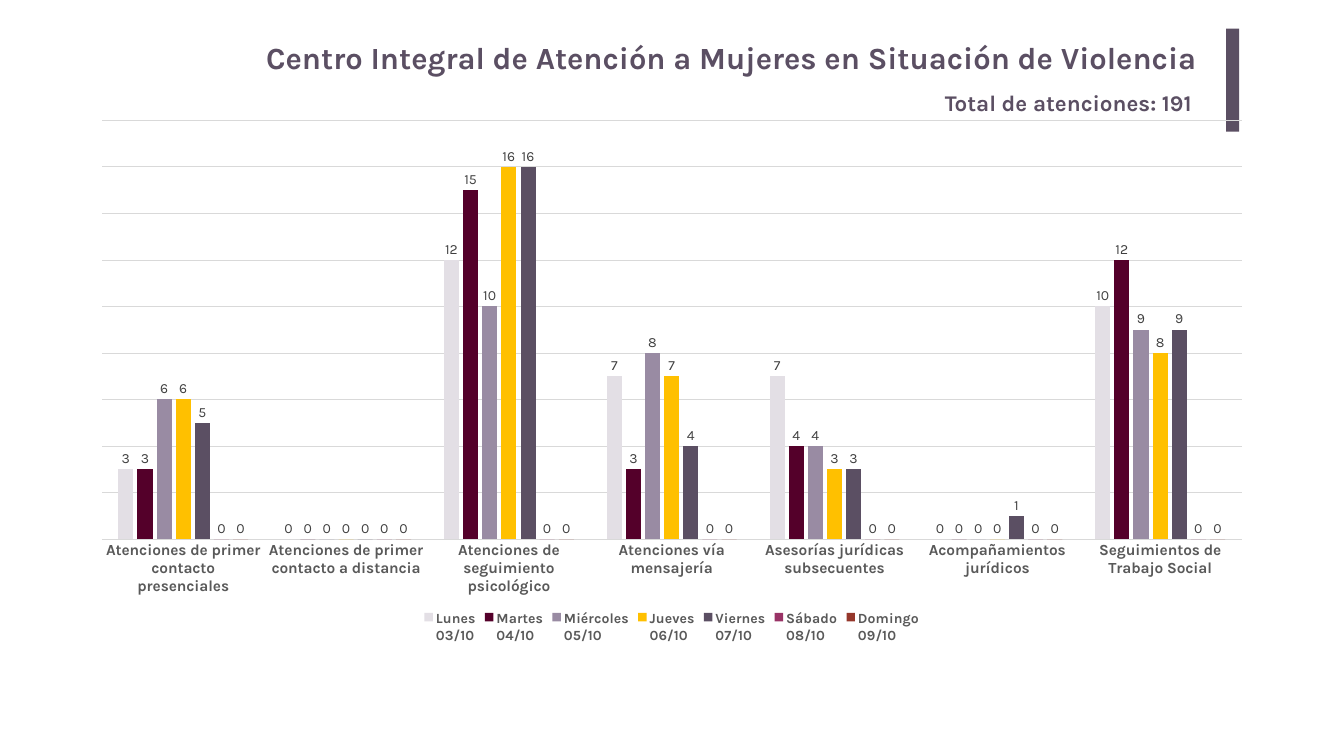
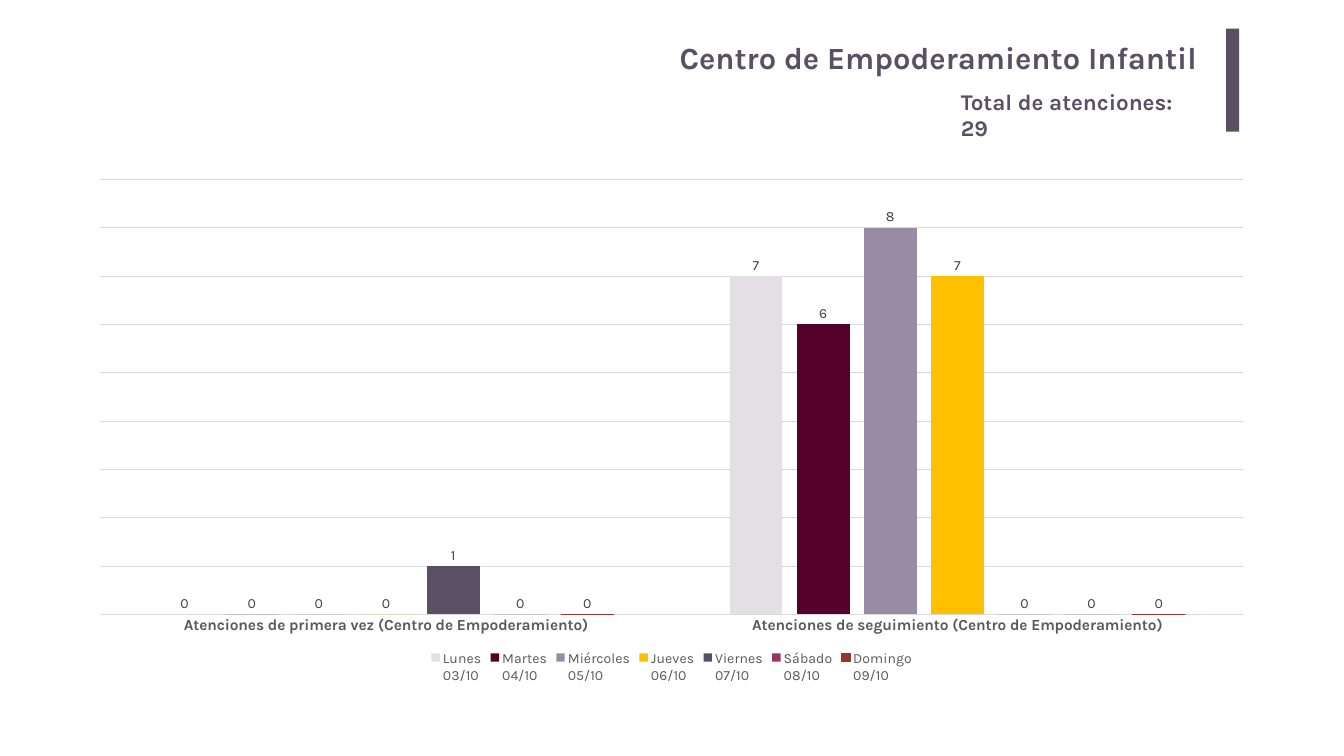
from dataclasses import dataclass

from lxml import etree
from pptx import Presentation
from pptx.chart.data import CategoryChartData
from pptx.dml.color import RGBColor
from pptx.enum.chart import XL_CHART_TYPE as ChartType
from pptx.enum.chart import XL_LABEL_POSITION as LabelPosition
from pptx.enum.chart import XL_LEGEND_POSITION as LegendPosition
from pptx.enum.chart import XL_TICK_LABEL_POSITION as TickLabelPosition
from pptx.enum.chart import XL_TICK_MARK as TickMark
from pptx.enum.shapes import MSO_SHAPE as Shape
from pptx.enum.text import MSO_AUTO_SIZE as AutoSize
from pptx.enum.text import PP_ALIGN as Align
from pptx.oxml.ns import qn
from pptx.util import Inches, Pt


@dataclass(frozen=True)
class Theme:
    font: str = "Karla"
    accent: str = "5B4F63"
    grid: str = "D9D9D9"
    axis_text: str = "595959"
    label_text: str = "404040"
    title_size: int = 44
    total_size: int = 32
    category_size: int = 22
    label_size: int = 20
    day_colors: tuple = ("E3DFE5", "54002A", "998BA3", "FFC000",
                         "5B4F63", "993366", "95372B")


DAYS = ["Lunes\n03/10", "Martes\n04/10", "Miércoles\n05/10", "Jueves\n06/10",
        "Viernes\n07/10", "Sábado\n08/10", "Domingo\n09/10"]

# One row per kind of service, one value per day
WOMEN_SERVICES = {
    "Atenciones de primer contacto presenciales": (3, 3, 6, 6, 5, 0, 0),
    "Atenciones de primer contacto a distancia": (0, 0, 0, 0, 0, 0, 0),
    "Atenciones de seguimiento psicológico": (12, 15, 10, 16, 16, 0, 0),
    "Atenciones vía mensajería": (7, 3, 8, 7, 4, 0, 0),
    "Asesorías jurídicas subsecuentes": (7, 4, 4, 3, 3, 0, 0),
    "Acompañamientos jurídicos": (0, 0, 0, 0, 1, 0, 0),
    "Seguimientos de Trabajo Social": (10, 12, 9, 8, 9, 0, 0),
}
CHILD_SERVICES = {
    "Atenciones de primera vez (Centro de Empoderamiento)": (0, 0, 0, 0, 1, 0, 0),
    "Atenciones de seguimiento (Centro de Empoderamiento)": (7, 6, 8, 7, 0, 0, 0),
}


class Report:
    def __init__(self, theme):
        self.theme = theme
        self.deck = Presentation()
        self.deck.slide_width, self.deck.slide_height = Inches(26.67), Inches(15)
        self.page = None

    def style(self, font, size, color, bold=False):
        font.name, font.size, font.bold = self.theme.font, Pt(size), bold
        font.color.rgb = RGBColor.from_string(color)

    def line(self, line, color):
        line.color.rgb = RGBColor.from_string(color)
        line.width = Pt(0.75)

    def text(self, words, place, size, align=Align.LEFT, inset=0.1):
        box = self.page.shapes.add_textbox(*map(Inches, place))
        frame = box.text_frame
        frame.word_wrap = True
        frame.margin_left = frame.margin_right = Inches(inset)
        frame.margin_top = frame.margin_bottom = Inches(inset / 2)
        frame.text = words
        para = frame.paragraphs[0]
        para.alignment = align
        self.style(para.runs[0].font, size, self.theme.accent, bold=True)
        return frame

    def start_page(self, title):
        self.page = self.deck.slides.add_slide(self.deck.slide_layouts[6])
        self.text(title, (3.66, 0.67, 20.3, 1.02), self.theme.title_size,
                  Align.RIGHT, inset=0.2)
        bar = self.page.shapes.add_shape(
            Shape.RECTANGLE, *map(Inches, (24.33, 0.57, 0.26, 2.04)))
        bar.shadow.inherit = False
        bar.fill.solid()
        bar.fill.fore_color.rgb = RGBColor.from_string(self.theme.accent)
        bar.line.fill.background()

    def total(self, words, place):
        frame = self.text(words, place, self.theme.total_size)
        frame.auto_size = AutoSize.SHAPE_TO_FIT_TEXT

    def place_plot(self, chart, height):
        """Fix the inner plot area as fractions of the chart."""
        plot_area = chart.plots[0]._element.getparent()
        for old in plot_area.findall(qn("c:layout")):
            plot_area.remove(old)
        layout = etree.Element(qn("c:layout"))
        manual = etree.SubElement(layout, qn("c:manualLayout"))
        settings = {"layoutTarget": "inner", "xMode": "edge", "yMode": "edge",
                    "x": 0.02, "y": 0.02, "w": 0.96, "h": height}
        for name, value in settings.items():
            etree.SubElement(manual, qn(f"c:{name}")).set("val", str(value))
        plot_area.insert(0, layout)

    def column_chart(self, services, place, top_value, step, plot_height,
                     bold_legend=False):
        theme = self.theme
        data = CategoryChartData()
        data.categories = list(services)
        for day, values in zip(DAYS, zip(*services.values())):
            data.add_series(day, values)
        chart = self.page.shapes.add_chart(
            ChartType.COLUMN_CLUSTERED, *map(Inches, place), data).chart
        chart.has_title = False
        self.style(chart.font, 10, "000000")

        # Columns and their values
        plot = chart.plots[0]
        plot.gap_width, plot.overlap = 219, -27
        plot.vary_by_categories = False
        for series, color in zip(plot.series, theme.day_colors):
            series.format.fill.solid()
            series.format.fill.fore_color.rgb = RGBColor.from_string(color)
            series.invert_if_negative = False
            labels = series.data_labels
            labels.show_value = True
            labels.position = LabelPosition.OUTSIDE_END
            self.style(labels.font, theme.label_size, theme.label_text)

        # Axes
        category_axis, value_axis = chart.category_axis, chart.value_axis
        category_axis.major_tick_mark = category_axis.minor_tick_mark = TickMark.NONE
        category_axis.tick_label_position = TickLabelPosition.NEXT_TO_AXIS
        self.style(category_axis.tick_labels.font, theme.category_size,
                   theme.axis_text, bold=True)
        self.line(category_axis.format.line, theme.grid)
        value_axis.visible = False
        value_axis.minimum_scale, value_axis.maximum_scale = 0, top_value
        value_axis.major_unit = step
        self.line(value_axis.major_gridlines.format.line, theme.grid)

        # Legend
        chart.has_legend = True
        chart.legend.position = LegendPosition.BOTTOM
        chart.legend.include_in_layout = False
        self.style(chart.legend.font, theme.label_size, theme.axis_text, bold_legend)
        self.place_plot(chart, plot_height)
        return chart


def main():
    report = Report(Theme())

    # Women's centre
    report.start_page("Centro Integral de Atención a Mujeres en Situación de Violencia")
    report.total("Total de atenciones: 191", (18.65, 1.71, 5.31, 0.65))
    report.column_chart(WOMEN_SERVICES, (1.55, 2.17, 23.56, 10.66),
                        top_value=18, step=2, plot_height=0.78, bold_legend=True)

    # Children's centre
    report.start_page("Centro de Empoderamiento Infantil")
    report.total("Total de atenciones: 29", (18.97, 1.69, 5.05, 0.64))
    chart = report.column_chart(CHILD_SERVICES, (1.52, 3.35, 23.62, 10.28),
                                top_value=9, step=1, plot_height=0.84)
    sunday = chart.plots[0].series[-1]
    report.line(sunday.format.line, report.theme.day_colors[-1])

    report.deck.save("out.pptx")


if __name__ == "__main__":
    main()
